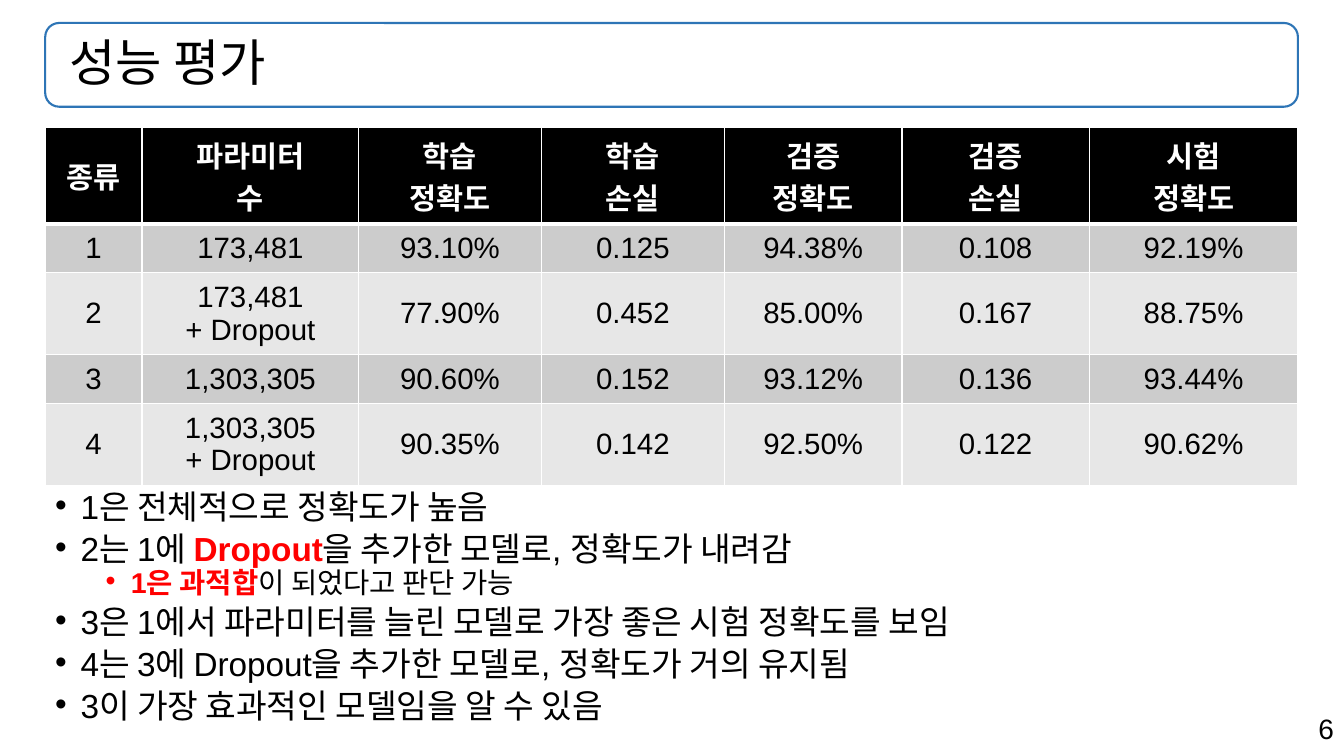
from lxml import etree
from pptx import Presentation
from pptx.dml.color import RGBColor
from pptx.enum.shapes import MSO_SHAPE
from pptx.enum.text import MSO_ANCHOR, PP_ALIGN
from pptx.oxml.ns import qn
from pptx.util import Cm, Pt

ROUND = MSO_SHAPE.ROUNDED_RECTANGLE
MIDDLE, TOP = MSO_ANCHOR.MIDDLE, MSO_ANCHOR.TOP
LEFT, CENTER, RIGHT = PP_ALIGN.LEFT, PP_ALIGN.CENTER, PP_ALIGN.RIGHT

BLACK = RGBColor(0x00, 0x00, 0x00)
WHITE = RGBColor(0xFF, 0xFF, 0xFF)
RED = RGBColor(0xFF, 0x00, 0x00)
BLUE = RGBColor(0x2E, 0x75, 0xB6)
DARK = RGBColor(0xCC, 0xCC, 0xCC)
LIGHT = RGBColor(0xE7, 0xE7, 0xE7)

EDGE, WIDTH = Cm(1.14), Cm(31.57)
WIDTHS = [2.44, 5.46, 4.6, 4.62, 4.47, 4.72, 5.26]
HEIGHTS = [2.44, 1.22, 1.96, 1.22, 1.96]
INSET = {"margin_left": Cm(0.3), "margin_right": Cm(0.3),
         "margin_top": Cm(0.15), "margin_bottom": Cm(0.15),
         "vertical_anchor": MIDDLE}

ROWS = [
    ["종류", "파라미터\n수", "학습\n정확도", "학습\n손실",
     "검증\n정확도", "검증\n손실", "시험\n정확도"],
    ["1", "173,481", "93.10%", "0.125", "94.38%", "0.108", "92.19%"],
    ["2", "173,481\n+ Dropout", "77.90%", "0.452", "85.00%", "0.167", "88.75%"],
    ["3", "1,303,305", "90.60%", "0.152", "93.12%", "0.136", "93.44%"],
    ["4", "1,303,305\n+ Dropout", "90.35%", "0.142", "92.50%", "0.122", "90.62%"],
]

POINTS = [
    (0, [("1은 전체적으로 정확도가 높음", False)]),
    (0, [("2는 1에 ", False), ("Dropout", True),
         ("을 추가한 모델로, 정확도가 내려감", False)]),
    (1, [("1은 과적합", True), ("이 되었다고 판단 가능", False)]),
    (0, [("3은 1에서 파라미터를 늘린 모델로 가장 좋은 시험 정확도를 보임", False)]),
    (0, [("4는 3에 Dropout을 추가한 모델로, 정확도가 거의 유지됨", False)]),
    (0, [("3이 가장 효과적인 모델임을 알 수 있음", False)]),
]
LEVELS = [{"size": 23.8, "indent": 0.64, "before": 10},
          {"size": 20.4, "indent": 1.91, "before": 5}]


def apply(item, values):
    """Set each named value on the item."""
    for name, value in values.items():
        setattr(item, name, value)


def style(run, size, color=BLACK, bold=False):
    """Give a run its font."""
    apply(run.font, {"name": "Arial", "size": Pt(size), "bold": bold})
    run.font.color.rgb = color


def write(frame, text, align, size, color=BLACK, bold=False):
    """Fill a frame with text in one style, a paragraph per line."""
    frame.text = text
    for para in frame.paragraphs:
        para.alignment = align
        for run in para.runs:
            style(run, size, color, bold)


def add_title(slide, text):
    """Draw the outlined title bar."""
    bar = slide.shapes.add_shape(ROUND, EDGE, Cm(0.58), WIDTH, Cm(2.11))
    bar.shadow.inherit = False
    bar.fill.background()
    bar.line.color.rgb = BLUE
    bar.line.width = Pt(1.5)
    apply(bar.text_frame, {"vertical_anchor": MIDDLE, "margin_left": Cm(0.5)})
    write(bar.text_frame, text, LEFT, 36)
    bar.text_frame.paragraphs[0].line_spacing = 0.9


def add_border(cell, side, points):
    """Draw one white side of a cell."""
    line = etree.SubElement(cell._tc.get_or_add_tcPr(), qn(f"a:ln{side}"),
                            w=str(Pt(points)))
    fill = etree.SubElement(line, qn("a:solidFill"))
    etree.SubElement(fill, qn("a:srgbClr"), val=str(WHITE))


def add_grid(slide):
    """Draw the table of results."""
    shape = slide.shapes.add_table(len(ROWS), len(WIDTHS), EDGE, Cm(3.2),
                                   WIDTH, Cm(sum(HEIGHTS)))
    table = shape.table
    for column, width in zip(table.columns, WIDTHS):
        column.width = Cm(width)
    for i, (row, height) in enumerate(zip(table.rows, HEIGHTS)):
        row.height = Cm(height)
        head = i == 0
        shade = BLACK if head else DARK if i % 2 else LIGHT
        for cell, text in zip(row.cells, ROWS[i]):
            apply(cell, INSET)
            sides = {"L": 1, "R": 1, "T": 3 if i == 1 else 1, "B": 3 if head else 1}
            for side, points in sides.items():
                add_border(cell, side, points)
            cell.fill.solid()
            cell.fill.fore_color.rgb = shade
            write(cell.text_frame, text, CENTER, 21, WHITE if head else BLACK, head)


def add_bullet(para, indent):
    """Give a paragraph a hanging bullet."""
    props = para._p.get_or_add_pPr()
    props.set("marL", str(Cm(indent)))
    props.set("indent", str(-Cm(0.64)))
    etree.SubElement(props, qn("a:buFont"), typeface="Arial")
    etree.SubElement(props, qn("a:buChar"), char="•")


def add_points(slide):
    """Write the bulleted findings."""
    box = slide.shapes.add_textbox(EDGE, Cm(12.4), WIDTH, Cm(6.32))
    frame = box.text_frame
    apply(frame, {"word_wrap": True, "vertical_anchor": TOP})
    for i, (level, parts) in enumerate(POINTS):
        para = frame.add_paragraph() if i else frame.paragraphs[0]
        look = LEVELS[level]
        add_bullet(para, look["indent"])
        apply(para, {"level": level, "line_spacing": 0.7,
                     "space_before": Pt(look["before"] if i else 0)})
        for text, strong in parts:
            run = para.add_run()
            run.text = text
            style(run, look["size"], RED if strong else BLACK, strong)


def add_number(slide, text):
    """Write the page number in the corner."""
    box = slide.shapes.add_textbox(Cm(23.95), Cm(17.81), Cm(9.92), Cm(1.12))
    box.text_frame.word_wrap = True
    write(box.text_frame, text, RIGHT, 20)


def main():
    """Build and save the slide."""
    deck = Presentation()
    apply(deck, {"slide_width": Cm(33.87), "slide_height": Cm(19.05)})
    slide = deck.slides.add_slide(deck.slide_layouts[6])
    add_number(slide, "6")
    add_title(slide, "성능 평가")
    add_points(slide)
    add_grid(slide)
    deck.save("out.pptx")


if __name__ == "__main__":
    main()
